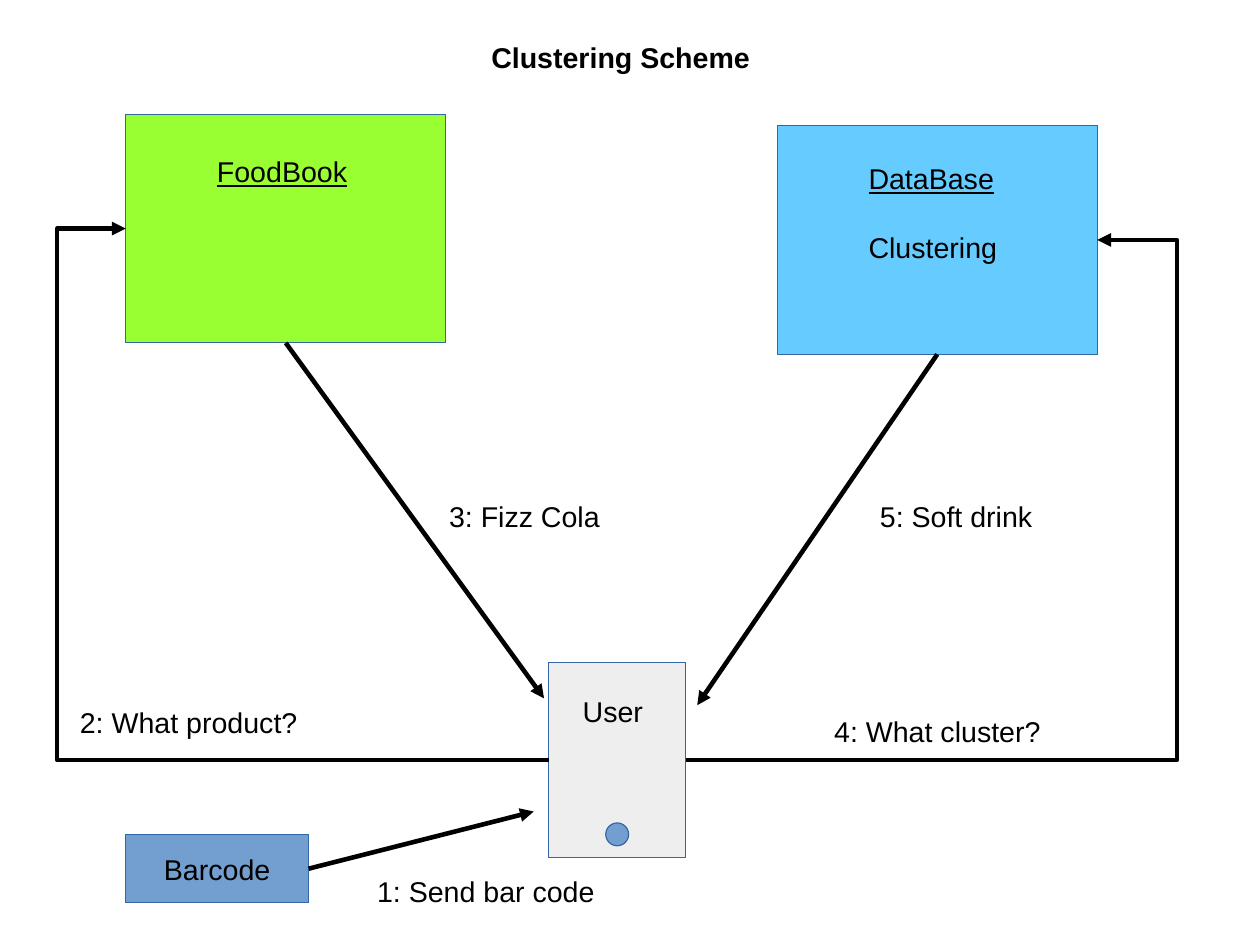
"""Build the clustering scheme slide: three parties, a barcode and five numbered messages."""
from lxml import etree
from pptx import Presentation
from pptx.dml.color import RGBColor
from pptx.enum.shapes import MSO_CONNECTOR, MSO_SHAPE
from pptx.enum.text import MSO_ANCHOR, PP_ALIGN
from pptx.oxml.ns import qn
from pptx.util import Pt

RECTANGLE, OVAL = MSO_SHAPE.RECTANGLE, MSO_SHAPE.OVAL
STRAIGHT, ELBOW = MSO_CONNECTOR.STRAIGHT, MSO_CONNECTOR.ELBOW
MIDDLE, CENTER = MSO_ANCHOR.MIDDLE, PP_ALIGN.CENTER
LEFT_SIDE, BOTTOM_SIDE, RIGHT_SIDE = 1, 2, 3

BLACK = RGBColor(0x00, 0x00, 0x00)
OUTLINE = RGBColor(0x34, 0x65, 0xA4)
GREEN = RGBColor(0x99, 0xFF, 0x33)
SKY = RGBColor(0x66, 0xCC, 0xFF)
GREY = RGBColor(0xEE, 0xEE, 0xEE)
BLUE = RGBColor(0x72, 0x9F, 0xCF)

PAGE_WIDTH, PAGE_HEIGHT = 793.7, 595.28
FONT, FONT_SIZE = "Arial", 18
LABEL_HEIGHT, LINE_WIDTH = 27.36, 2.89
SERVICE_GAP = 21.6

SHAPES = {
    "food": (RECTANGLE, 79.2, 72, 201.6, 144, GREEN),
    "cluster": (RECTANGLE, 489.6, 79.2, 201.6, 144, SKY),
    "user": (RECTANGLE, 345.6, 417.6, 86.4, 122.4, GREY),
    "barcode": (RECTANGLE, 79.2, 525.6, 115.2, 43.2, BLUE),
    "home button": (OVAL, 381.6, 518.4, 14.4, 14.4, BLUE),
}
REQUESTS = [
    ("user", LEFT_SIDE, "food", LEFT_SIDE, 36),
    ("user", RIGHT_SIDE, "cluster", RIGHT_SIDE, 741.6),
]
REPLIES = [
    ("food", BOTTOM_SIDE, 342.72, 439.92),
    ("cluster", BOTTOM_SIDE, 439.2, 444.24),
    ("barcode", RIGHT_SIDE, 336.24, 511.2),
]
LABELS = [
    (["Clustering Scheme"], 302.4, 21.6, 180, "bold"),
    (["FoodBook"], 129.6, 93.6, 102, "underline"),
    (["DataBase", "Clustering"], 540, 97.92, 98, "underline"),
    (["User"], 360, 433.44, 57.6, None),
    (["1: Send bar code"], 230.4, 547.2, 154, None),
    (["2: What product?"], 43.2, 440.64, 154, None),
    (["3: Fizz Cola"], 275.76, 311.04, 120, None),
    (["4: What cluster?"], 518.4, 446.4, 147, None),
    (["5: Soft drink"], 547.2, 311.04, 113, None),
]


def style_text(frame, emphasis=None):
    for number, para in enumerate(frame.paragraphs):
        for span in para.runs:
            span.font.name, span.font.size = FONT, Pt(FONT_SIZE)
            span.font.color.rgb = BLACK
            if emphasis and number == 0:
                setattr(span.font, emphasis, True)


def add_box(page, kind, left, top, width, height, color):
    box = page.shapes.add_shape(kind, Pt(left), Pt(top), Pt(width), Pt(height))
    box.shadow.inherit = False
    box.fill.solid()
    box.fill.fore_color.rgb = color
    box.line.color.rgb = OUTLINE
    box.line.width = Pt(0)
    return box


def side_point(name, side):
    _, left, top, width, height, _ = SHAPES[name]
    return {
        LEFT_SIDE: (left, top + height / 2),
        BOTTOM_SIDE: (left + width / 2, top + height),
        RIGHT_SIDE: (left + width, top + height / 2),
    }[side]


def add_arrow(page, kind, start, end):
    arrow = page.shapes.add_connector(kind, *(Pt(value) for value in (*start, *end)))
    arrow.line.color.rgb = BLACK
    arrow.line.width = Pt(LINE_WIDTH)
    outline = arrow.line._get_or_add_ln()
    etree.SubElement(outline, qn("a:tailEnd"), type="triangle")
    etree.SubElement(arrow._element.spPr, qn("a:effectLst"))
    return arrow


def bend_at(arrow, start, end, bend):
    ratio = round((bend - start[0]) / (end[0] - start[0]) * 100000)
    guides = arrow._element.spPr.find(qn("a:prstGeom")).get_or_add_avLst()
    etree.SubElement(guides, qn("a:gd"), name="adj1", fmla=f"val {ratio}")


def add_label(page, lines, left, top, width, emphasis):
    box = page.shapes.add_textbox(Pt(left), Pt(top), Pt(width), Pt(LABEL_HEIGHT * len(lines)))
    frame = box.text_frame
    frame.word_wrap = True
    frame.text = "\n".join(lines)
    for para in frame.paragraphs[1:]:
        para.space_before = Pt(SERVICE_GAP)
    style_text(frame, emphasis)


def main():
    deck = Presentation()
    deck.slide_width, deck.slide_height = Pt(PAGE_WIDTH), Pt(PAGE_HEIGHT)
    page = deck.slides.add_slide(deck.slide_layouts[6])

    boxes = {name: add_box(page, *details) for name, details in SHAPES.items()}
    frame = boxes["barcode"].text_frame
    frame.text = "Barcode"
    frame.vertical_anchor = MIDDLE
    frame.paragraphs[0].alignment = CENTER
    style_text(frame)

    for source, source_side, target, target_side, bend in REQUESTS:
        start, end = side_point(source, source_side), side_point(target, target_side)
        arrow = add_arrow(page, ELBOW, start, end)
        arrow.begin_connect(boxes[source], source_side)
        arrow.end_connect(boxes[target], target_side)
        bend_at(arrow, start, end, bend)

    for source, side, *end in REPLIES:
        arrow = add_arrow(page, STRAIGHT, side_point(source, side), end)
        arrow.begin_connect(boxes[source], side)

    for label in LABELS:
        add_label(page, *label)

    deck.save("out.pptx")


if __name__ == "__main__":
    main()
